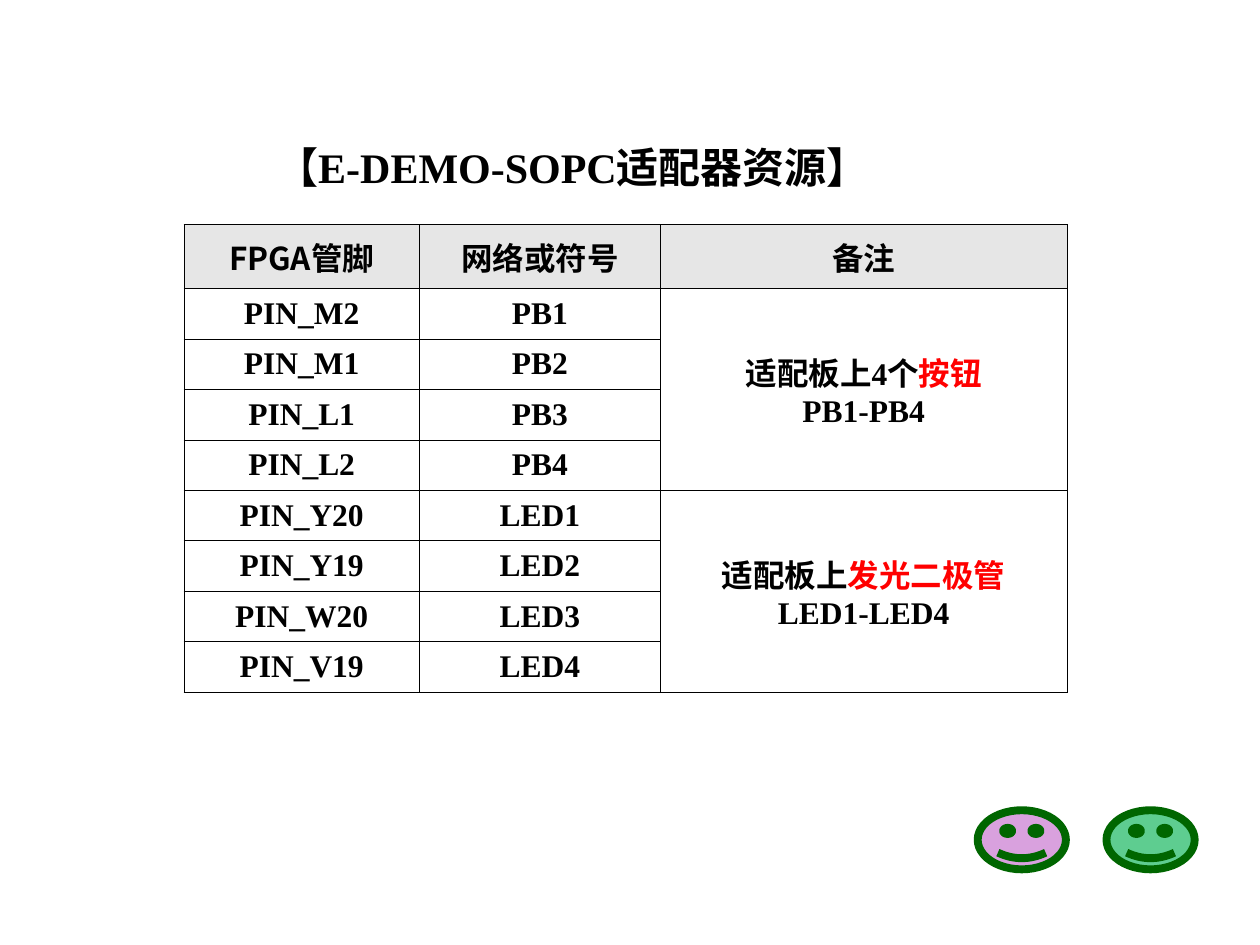
import pptx
import pptx.dml.color
import pptx.enum.shapes
import pptx.enum.text
import pptx.oxml
import pptx.oxml.ns
import pptx.util

Pt = pptx.util.Pt
RGBColor = pptx.dml.color.RGBColor
CENTER = pptx.enum.text.PP_ALIGN.CENTER
MIDDLE = pptx.enum.text.MSO_ANCHOR.MIDDLE

BLACK = RGBColor(0x00, 0x00, 0x00)
RED = RGBColor(0xFF, 0x00, 0x00)
HEADER_GREY = RGBColor(0xE6, 0xE6, 0xE6)
DARK_GREEN = RGBColor(0x00, 0x66, 0x00)
PURPLE = RGBColor(0xC4, 0x6B, 0xCB)
GREEN = RGBColor(0x00, 0xB0, 0x50)
SERIF = "Times New Roman"
CJK = "Noto Sans CJK SC"


def add_run(paragraph, text, size=18, font=SERIF, color=BLACK):
    paragraph.alignment = CENTER
    run = paragraph.add_run()
    run.text = text
    run.font.size = Pt(size)
    run.font.bold = True
    run.font.name = font
    run.font.color.rgb = color
    east_asian = pptx.oxml.parse_xml(
        f'<a:ea {pptx.oxml.ns.nsdecls("a")} typeface="{CJK}"/>')
    run.font._element.find(pptx.oxml.ns.qn("a:latin")).addnext(east_asian)


def add_borders(cell):
    for side in ("lnL", "lnR", "lnT", "lnB"):
        cell._tc.get_or_add_tcPr().append(pptx.oxml.parse_xml(
            f'<a:{side} {pptx.oxml.ns.nsdecls("a")} w="{Pt(0.45)}">'
            f'<a:solidFill><a:srgbClr val="{BLACK}"/></a:solidFill></a:{side}>'))


presentation = pptx.Presentation()
presentation.slide_width = Pt(720)
presentation.slide_height = Pt(540)
slide = presentation.slides.add_slide(presentation.slide_layouts[5])

title = slide.shapes.title
title.left, title.top, title.width, title.height = Pt(87.8), Pt(77), Pt(478.8), Pt(36)
title.text_frame.vertical_anchor = MIDDLE
title.text_frame.word_wrap = True
add_run(title.text_frame.paragraphs[0], "【E-DEMO-SOPC适配器资源】", size=24)

headers = [("FPGA管脚", CJK), ("网络或符号", CJK), ("备注", "Arial")]
pins = [
    ("PIN_M2", "PB1"), ("PIN_M1", "PB2"), ("PIN_L1", "PB3"), ("PIN_L2", "PB4"),
    ("PIN_Y20", "LED1"), ("PIN_Y19", "LED2"), ("PIN_W20", "LED3"), ("PIN_V19", "LED4"),
]
remarks = [("适配板上4个", "按钮", "PB1-PB4"), ("适配板上", "发光二极管", "LED1-LED4")]
group_size = len(pins) // len(remarks)

resources = slide.shapes.add_table(
    len(pins) + 1, len(headers), Pt(105.1), Pt(128.2), Pt(504.7), Pt(267.5)).table
for column, width in zip(resources.columns, (134.6, 137.6, 232.5)):
    column.width = Pt(width)
for index, row in enumerate(resources.rows):
    row.height = Pt(28.85 if index else 36.7)
    for cell in row.cells:
        cell.vertical_anchor = MIDDLE
        add_borders(cell)
        if index:
            cell.fill.background()
        else:
            cell.fill.solid()
            cell.fill.fore_color.rgb = HEADER_GREY

for column, (label, font) in enumerate(headers):
    add_run(resources.cell(0, column).text_frame.paragraphs[0], label, font=font)
for row, pin in enumerate(pins, start=1):
    for column, label in enumerate(pin):
        add_run(resources.cell(row, column).text_frame.paragraphs[0], label)
for group, (lead, part, signals) in enumerate(remarks):
    first = 1 + group * group_size
    remark = resources.cell(first, 2)
    remark.merge(resources.cell(first + group_size - 1, 2))
    description = remark.text_frame.paragraphs[0]
    add_run(description, lead)
    add_run(description, part, color=RED)
    add_run(remark.text_frame.add_paragraph(), signals)

for left, color in ((558.7, PURPLE), (632.3, GREEN)):
    smiley = slide.shapes.add_shape(
        pptx.enum.shapes.MSO_SHAPE.SMILEY_FACE, Pt(left), Pt(463), Pt(50.4), Pt(33.8))
    smiley.adjustments[0] = 0.09
    smiley.shadow.inherit = False
    smiley.fill.solid()
    smiley.fill.fore_color.rgb = color
    smiley.fill._xPr.find(pptx.oxml.ns.qn("a:solidFill"))[0].append(
        pptx.oxml.parse_xml(f'<a:alpha {pptx.oxml.ns.nsdecls("a")} val="63000"/>'))
    smiley.line.color.rgb = DARK_GREEN
    smiley.line.width = Pt(4.5)

presentation.save("out.pptx")
